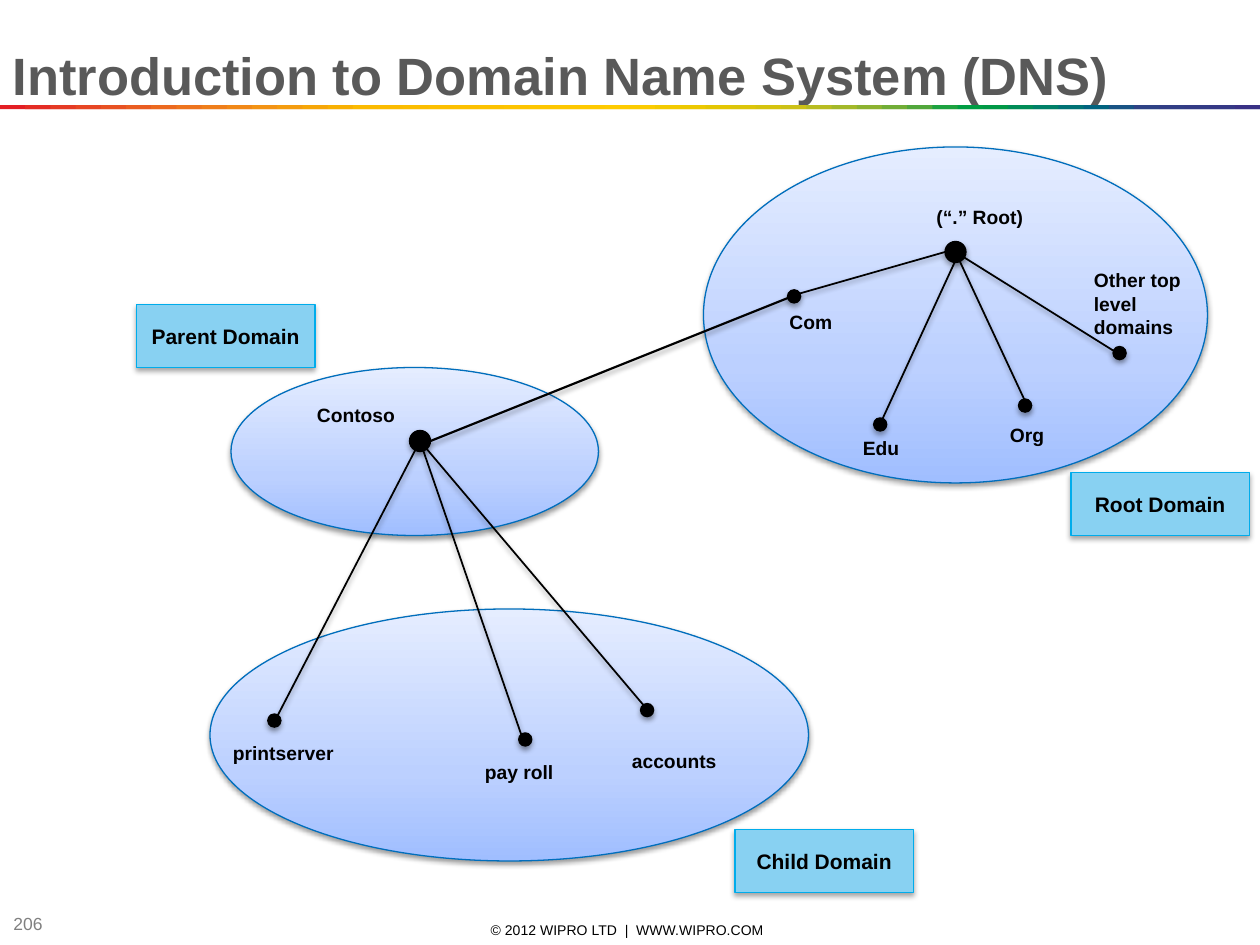
from lxml import etree
from pptx import Presentation
from pptx.dml.color import RGBColor
from pptx.enum.shapes import MSO_CONNECTOR, MSO_SHAPE
from pptx.enum.text import MSO_ANCHOR, PP_ALIGN
from pptx.oxml.ns import qn
from pptx.util import Inches, Pt

LEFT, CENTER = PP_ALIGN.LEFT, PP_ALIGN.CENTER
TOP, MIDDLE, BOTTOM = MSO_ANCHOR.TOP, MSO_ANCHOR.MIDDLE, MSO_ANCHOR.BOTTOM
OVAL, RECT = MSO_SHAPE.OVAL, MSO_SHAPE.RECTANGLE
STRAIGHT = MSO_CONNECTOR.STRAIGHT

COLS, ROWS = 120, 90
FONT = "Arial"
BLACK = RGBColor(0x00, 0x00, 0x00)
GRAY = RGBColor(0x80, 0x80, 0x80)
TITLE_GRAY = RGBColor(0x59, 0x59, 0x59)
ZONE_LINE = RGBColor(0x00, 0x6E, 0xBC)
TAG_FILL = RGBColor(0x88, 0xD1, 0xF2)
TAG_LINE = RGBColor(0x00, 0xAC, 0xEB)
ZONE_STOPS = [
    (0, RGBColor(0xA0, 0xBE, 0xFF)),
    (35, RGBColor(0xBC, 0xD0, 0xFF)),
    (100, RGBColor(0xE5, 0xED, 0xFF)),
]
RAINBOW = [RGBColor.from_string(c) for c in (
    "E31E24 E42C24 E53A24 E74623 E85122 EA5D21 EC691F EE741D EF7E1A F18817 "
    "F39314 F49C0F F6A607 F8B002 FBBA00 FBBB00 FBBD00 FCBF00 FCC000 FCC200 "
    "FDC400 FDC600 FDC700 FEC900 FECB00 FBCB00 F3CA00 ECC800 E4C602 DCC50A "
    "D5C30E CCC117 B8BC21 A3B829 8CB230 71AD36 51A73B 1DA240 009D43 009846 "
    "008C57 008068 007275 00637F 185384 2E4285 313E85 333B85 353885 393185"
).split()]

ZONES = [(67, 14, 48, 32), (22, 35, 35, 16), (20, 58, 57, 24)]
LINKS = [
    (41, 42, 76, 28, 1.25),
    (26, 69, 40, 42, 1),
    (62, 68, 40, 42, 1),
    (107, 34, 91, 24, 1),
    (98, 39, 91, 24, 1),
    (84, 40, 91.7, 23.3, 1),
    (76, 28, 90, 24, 1),
    (50, 71, 40, 42, 1),
]
HUBS = [(39, 41), (90, 23)]
LEAVES = [(75, 27.6), (49.4, 69.8), (25.5, 68), (61, 67),
          (83.2, 39.8), (97, 38), (106, 33)]
LABELS = [
    (["Other top level", "domains"], 103, 25, 15, 8),
    (["Org"], 95, 39.75, 8, 3.5),
    (["Edu"], 81, 41, 8, 3.5),
    (["Com"], 74, 29, 8, 3.5),
    (["(“.” Root)"], 88, 19, 13, 3.5),
    (["Contoso"], 29, 37.8, 13, 3.5),
    (["accounts"], 59, 70.8, 13, 3.5),
    (["pay roll"], 45, 71.8, 13, 3.5),
    (["printserver"], 21, 70, 13, 3.5),
]
TAGS = [("Parent Domain", 13, 29), ("Root Domain", 102, 45),
        ("Child Domain", 70, 79)]


def grid(*cells):
    return [Inches(cell / 12) for cell in cells]


def add_shadow(sp, alpha, distance):
    effects = etree.SubElement(sp._element.spPr, qn("a:effectLst"))
    shadow = etree.SubElement(
        effects, qn("a:outerShdw"), blurRad=str(Pt(3.1)),
        dist=str(Pt(distance)), dir="5400000", rotWithShape="0")
    color = etree.SubElement(shadow, qn("a:srgbClr"), val=str(BLACK))
    etree.SubElement(color, qn("a:alpha"), val=str(alpha * 1000))


def write(tf, lines, size, color, bold=False, align=LEFT, anchor=TOP):
    tf.word_wrap = True
    tf.vertical_anchor = anchor
    tf.text = "\n".join(lines)
    for p in tf.paragraphs:
        p.alignment = align
        p.font.name = FONT
        p.font.size = Pt(size)
        p.font.bold = bold
        p.font.color.rgb = color


def add_text(slide, lines, box, size, color, **style):
    tf = slide.shapes.add_textbox(*grid(*box)).text_frame
    write(tf, lines, size, color, **style)


def add_title(slide, text):
    title = slide.shapes.title
    title.left, title.top, title.width, title.height = grid(0, 3, COLS, 7.3)
    write(title.text_frame, [text], 30, TITLE_GRAY, bold=True, anchor=BOTTOM)
    title.text_frame.margin_bottom = Inches(0.02)


def add_rainbow(slide):
    band = slide.shapes.add_group_shape()
    step = COLS / len(RAINBOW)
    for i, color in enumerate(RAINBOW):
        left = i * step
        width = min(2 * step, COLS - left)
        sp = band.shapes.add_shape(RECT, *grid(left, 10, width, 0.4))
        sp.shadow.inherit = False
        sp.fill.solid()
        sp.fill.fore_color.rgb = color
        sp.line.fill.background()


def add_zone(slide, box):
    sp = slide.shapes.add_shape(OVAL, *grid(*box))
    sp.fill.gradient()
    sp.fill.gradient_angle = 90
    stops = sp._element.spPr.find(qn("a:gradFill")).find(qn("a:gsLst"))
    for stop in list(stops):
        stops.remove(stop)
    for position, color in ZONE_STOPS:
        stop = etree.SubElement(stops, qn("a:gs"), pos=str(position * 1000))
        etree.SubElement(stop, qn("a:srgbClr"), val=str(color))
    sp.line.color.rgb = ZONE_LINE
    sp.line.width = Pt(0.75)
    add_shadow(sp, 38, 1.6)


def add_link(slide, x1, y1, x2, y2, weight):
    link = slide.shapes.add_connector(STRAIGHT, *grid(x1, y1, x2, y2))
    link.line.color.rgb = BLACK
    link.line.width = Pt(weight)
    add_shadow(link, 38, 1.6)


def add_solid(slide, kind, box, fill, line):
    sp = slide.shapes.add_shape(kind, *grid(*box))
    sp.fill.solid()
    sp.fill.fore_color.rgb = fill
    sp.line.color.rgb = line
    sp.line.width = Pt(0.75)
    add_shadow(sp, 35, 1.8)
    return sp


def main():
    prs = Presentation()
    prs.slide_width, prs.slide_height = grid(COLS, ROWS)
    slide = prs.slides.add_slide(prs.slide_layouts[5])

    add_text(slide, ["© 2012 WIPRO LTD  |  WWW.WIPRO.COM"], (41, 87.6, 37.5, 1.9),
             8, BLACK, align=CENTER, anchor=MIDDLE)
    add_text(slide, ["206"], (0.1, 86.7, 9, 2.5), 10, GRAY, anchor=MIDDLE)
    add_rainbow(slide)
    add_title(slide, "Introduction to Domain Name System (DNS)")

    for box in ZONES:
        add_zone(slide, box)
    for link in LINKS:
        add_link(slide, *link)
    for nodes, size in ((HUBS, 2), (LEAVES, 1.25)):
        for left, top in nodes:
            add_solid(slide, OVAL, (left, top, size, size), BLACK, BLACK)
    for lines, *box in LABELS:
        add_text(slide, lines, box, 11, BLACK, bold=True)
    for text, left, top in TAGS:
        sp = add_solid(slide, RECT, (left, top, 17, 6), TAG_FILL, TAG_LINE)
        write(sp.text_frame, [text], 12, BLACK, bold=True, align=CENTER, anchor=MIDDLE)

    prs.save("out.pptx")


if __name__ == "__main__":
    main()
